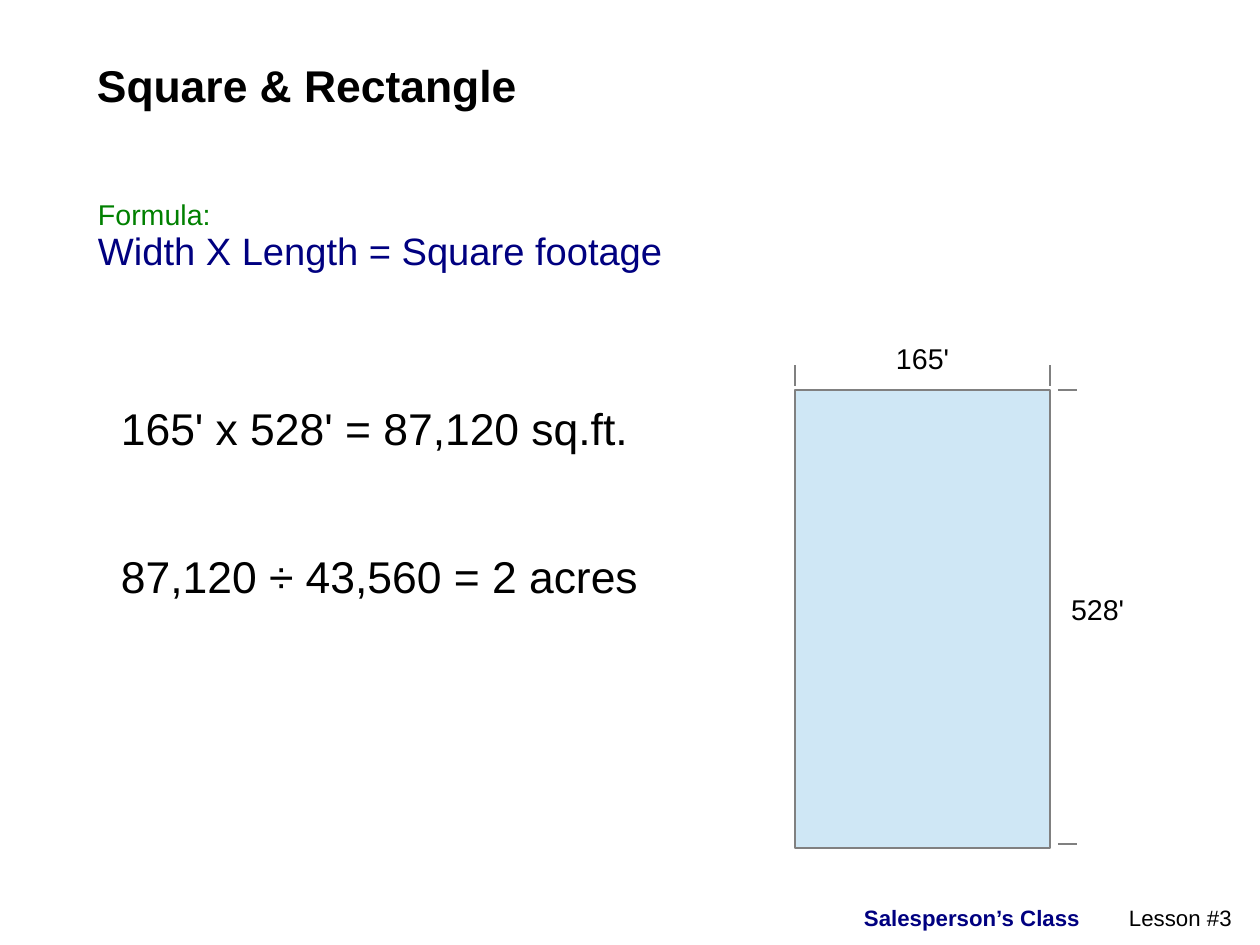
from lxml import etree
from pptx import Presentation
from pptx.dml.color import RGBColor
from pptx.enum.shapes import MSO_CONNECTOR, MSO_SHAPE
from pptx.enum.text import MSO_ANCHOR, MSO_AUTO_SIZE, PP_ALIGN
from pptx.oxml.ns import qn
from pptx.util import Pt

PX = 8000  # EMU per px: 1260 x 945 px is 28 x 21 cm
LINE, RECT = MSO_CONNECTOR.STRAIGHT, MSO_SHAPE.RECTANGLE
TOP, LEFT, NO_FIT = MSO_ANCHOR.TOP, PP_ALIGN.LEFT, MSO_AUTO_SIZE.NONE
BLACK, NAVY, GREEN, GRAY, SKY = "000000", "000080", "008000", "808080", "CFE7F5"

SIZE = (1260, 945)
# Each paragraph is a list of runs: (text, size, colour, bold)
TITLE = ((86, 57, 442, 61), [[("Square & Rectangle", 28, BLACK, True)]])
FORMULA = ((87, 194, 588, 86), [
    [("Formula:", 18, GREEN, False)],
    [("Width X Length = Square footage", 24, NAVY, False)],
])
EXAMPLE = ((110, 400, 541, 210), [
    [("165' x 528' = 87,120 sq.ft.", 28, BLACK, False)],
    [("87,120 ÷ 43,560 = 2 acres", 28, BLACK, False)],
])
WIDTH_LABEL = ((885, 338, 75, 42), [[("165'", 18, BLACK, False)]])
LENGTH_LABEL = ((1060, 589, 75, 42), [[("528'", 18, BLACK, False)]])
FOOTER = ((853, 901, 396, 40), [
    [("Salesperson’s Class\t", 14, NAVY, True), ("Lesson #3", 14, BLACK, False)],
])
EXAMPLE_GAP = 62  # points
FOOTER_TAB = 265
LOT = (795, 390, 255, 458)

prs = Presentation()
prs.slide_width, prs.slide_height = (v * PX for v in SIZE)
s = prs.slides.add_slide(prs.slide_layouts[5])


def color(value):
    return RGBColor.from_string(value)


def write(sp, paragraphs, gap=0, tab=None):
    """Fill a text shape; gap is the space in points between paragraphs."""
    tf = sp.text_frame
    frame = dict(word_wrap=False, auto_size=NO_FIT, vertical_anchor=TOP,
                 margin_left=11 * PX, margin_right=11 * PX,
                 margin_top=6 * PX, margin_bottom=6 * PX)
    for name, value in frame.items():
        setattr(tf, name, value)
    for i, runs in enumerate(paragraphs):
        p = tf.add_paragraph() if i else tf.paragraphs[0]
        layout = dict(alignment=LEFT, line_spacing=0.93,
                      space_before=Pt(gap if i else 0))
        for name, value in layout.items():
            setattr(p, name, value)
        if tab:
            tabs = etree.SubElement(p._p.get_or_add_pPr(), qn("a:tabLst"))
            etree.SubElement(tabs, qn("a:tab"), pos=str(tab * PX), algn="l")
        for text, size, tone, bold in runs:
            r = p.add_run()
            r.text = text
            for name, value in dict(name="Arial", size=Pt(size), bold=bold).items():
                setattr(r.font, name, value)
            r.font.color.rgb = color(tone)


def add_text(content, **options):
    box, paragraphs = content
    write(s.shapes.add_textbox(*(v * PX for v in box)), paragraphs, **options)


def outline(sp):
    sp.line.color.rgb = color(GRAY)
    sp.line.width = Pt(0.75)


def add_tick(*ends):
    tick = s.shapes.add_connector(LINE, *(v * PX for v in ends))
    outline(tick)
    etree.SubElement(tick._element.spPr, qn("a:effectLst"))


title = s.shapes.title
for name, value in zip(("left", "top", "width", "height"), TITLE[0]):
    setattr(title, name, value * PX)
write(title, TITLE[1])
add_text(FORMULA)

lot = s.shapes.add_shape(RECT, *(v * PX for v in LOT))
lot.shadow.inherit = False
lot.fill.solid()
lot.fill.fore_color.rgb = color(SKY)
outline(lot)

x, y, w, h = LOT
for tick_x in (x, x + w):
    add_tick(tick_x, y - 4, tick_x, y - 25)
for tick_y in (y, y + h - 4):
    add_tick(x + w + 8, tick_y, x + w + 27, tick_y)
add_text(WIDTH_LABEL)
add_text(LENGTH_LABEL)

add_text(EXAMPLE, gap=EXAMPLE_GAP)
add_text(FOOTER, tab=FOOTER_TAB)

prs.save("out.pptx")
